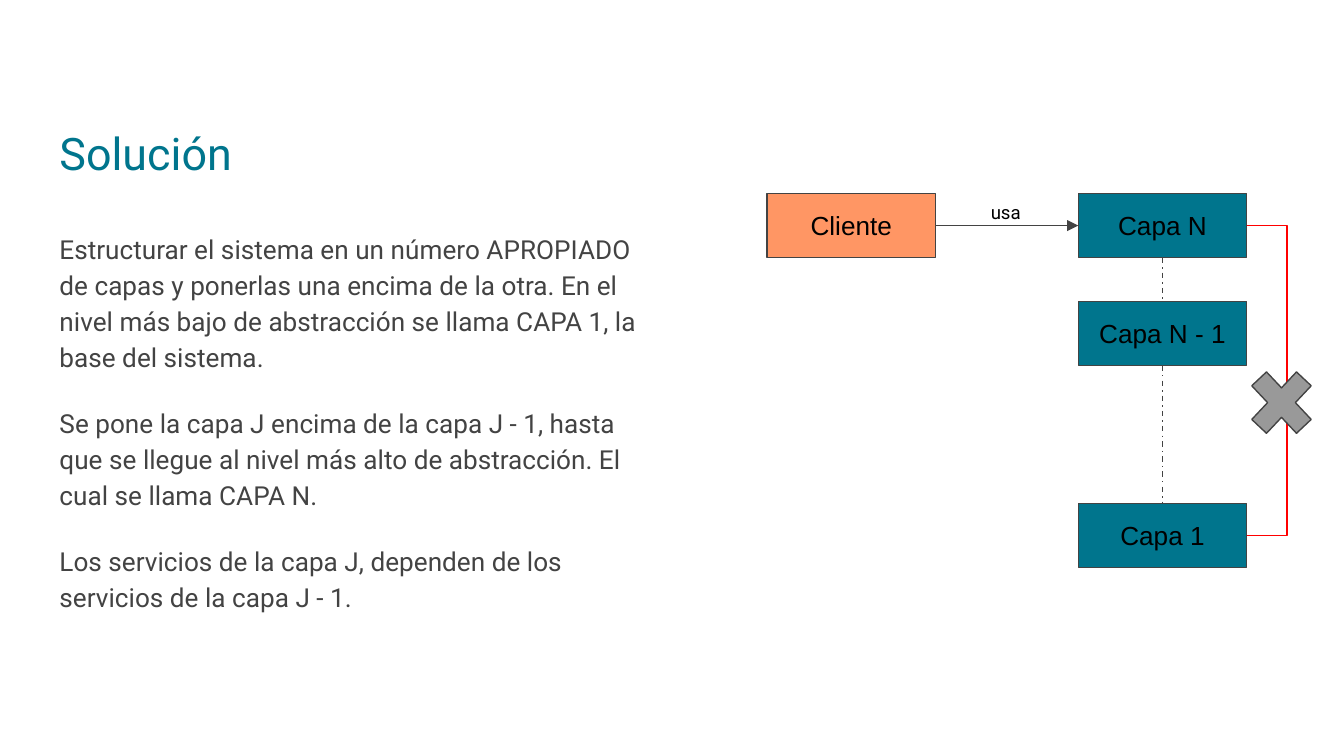
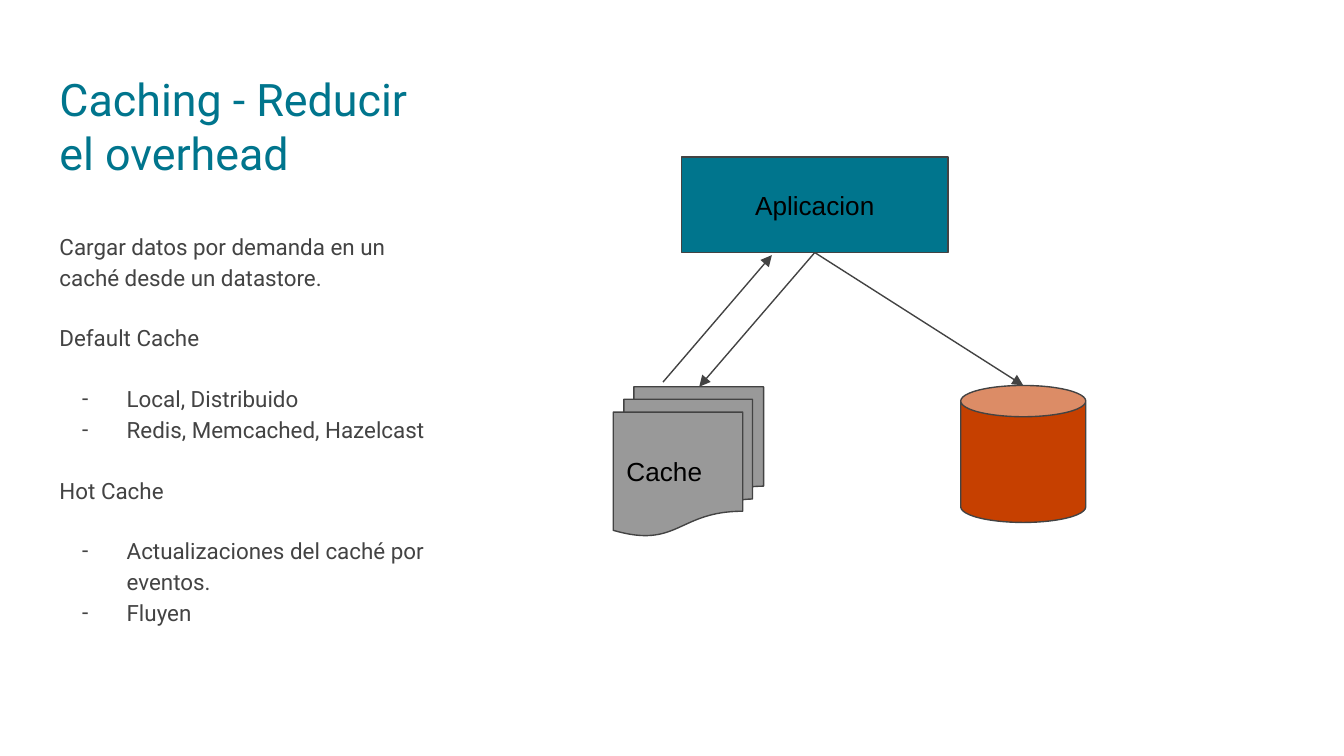
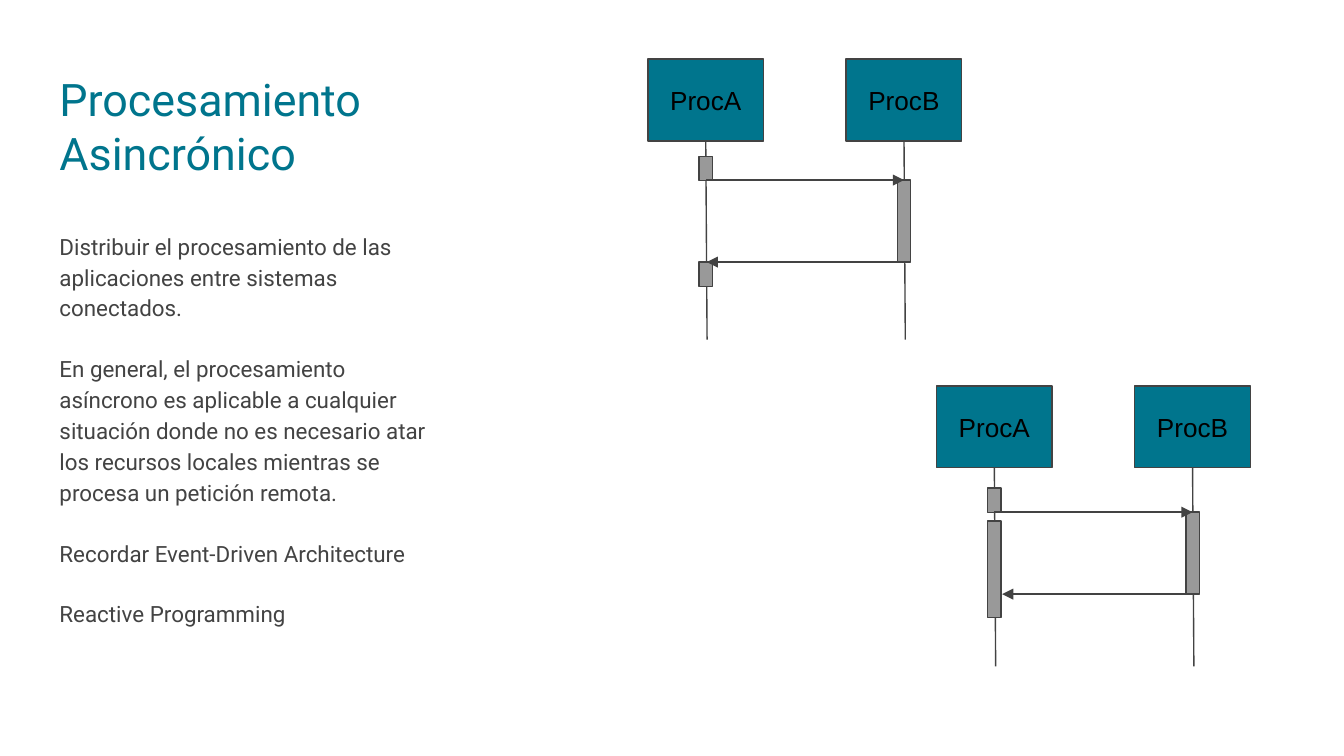
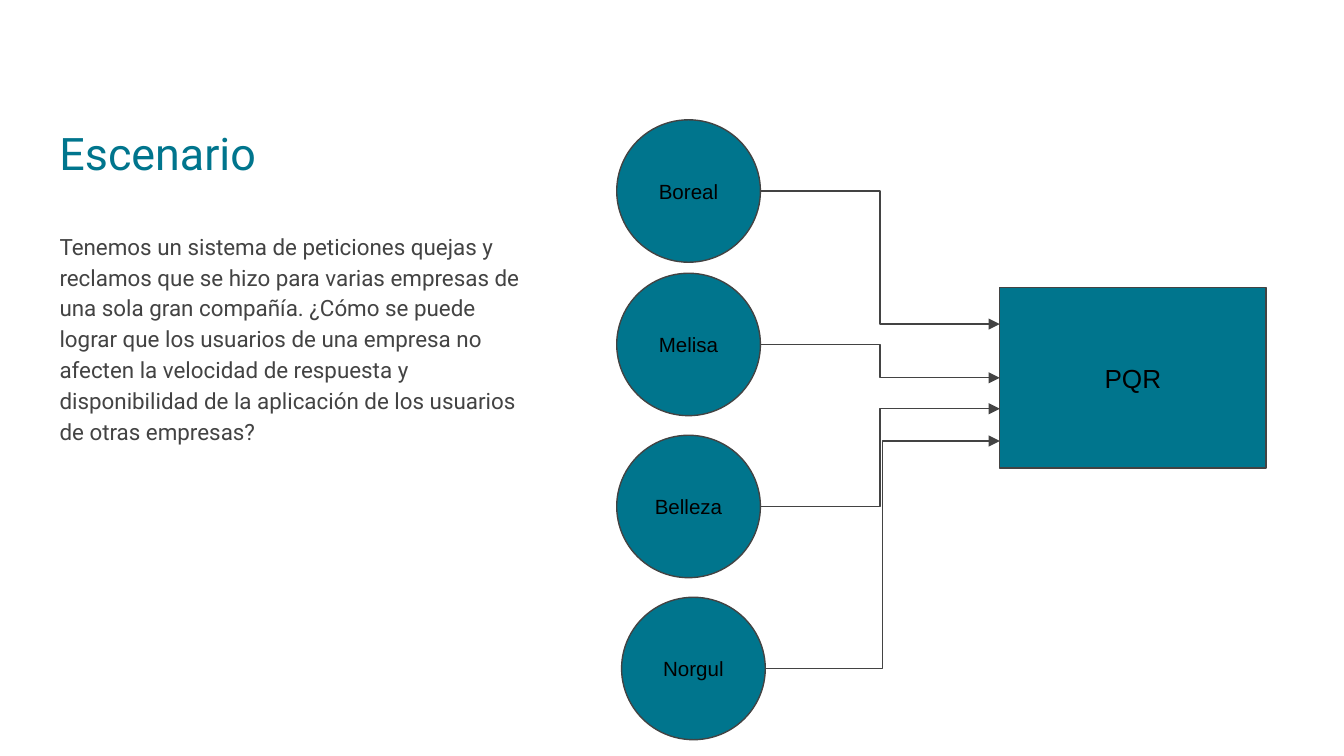
from lxml.etree import SubElement
from pptx import Presentation
from pptx.dml.color import RGBColor
from pptx.enum.dml import MSO_LINE as Dash
from pptx.enum.shapes import MSO_CONNECTOR as Link, MSO_SHAPE as Preset
from pptx.enum.text import MSO_ANCHOR as Anchor, PP_ALIGN as Align
from pptx.oxml.ns import qn
from pptx.util import Pt

COLORS = {
    "teal": "00758D",
    "ink": "434343",
    "text": "000000",
    "orange": "FF9664",
    "rust": "C64000",
    "gray": "999999",
    "red": "FF0000",
    "paper": "FFFFFF",
}
HEADING_FONT, LABEL_FONT = "Roboto", "Arial"
INSET = 7.2
STROKE = 0.75
MARGIN = 24.8


def rgb(name):
    return RGBColor.from_string(COLORS[name])


def style(paragraph, size, face, color):
    paragraph.font.size = Pt(size)
    paragraph.font.name = face
    paragraph.font.color.rgb = rgb(color)


def set_frame(frame, anchor):
    frame.word_wrap = True
    frame.vertical_anchor = anchor
    frame.margin_left = frame.margin_right = Pt(INSET)
    frame.margin_top = frame.margin_bottom = Pt(INSET)


def add_text(slide, box, text, size, color, anchor=Anchor.TOP):
    frame = slide.shapes.add_textbox(*map(Pt, box)).text_frame
    set_frame(frame, anchor)
    frame.text = text
    style(frame.paragraphs[0], size, HEADING_FONT, color)


def add_dash_bullet(paragraph):
    properties = paragraph._p.get_or_add_pPr()
    properties.set("marL", str(Pt(36)))
    properties.set("indent", str(Pt(-23.8)))
    tint = SubElement(properties, qn("a:buClr"))
    SubElement(tint, qn("a:srgbClr"), val=COLORS["ink"])
    SubElement(properties, qn("a:buFont"), typeface=HEADING_FONT)
    SubElement(properties, qn("a:buChar"), char="-")


def add_body(slide, box, entries, size):
    frame = slide.shapes.add_textbox(*map(Pt, box)).text_frame
    set_frame(frame, Anchor.TOP)
    after_item = False
    for number, entry in enumerate(entries):
        is_item = isinstance(entry, tuple)
        paragraph = frame.add_paragraph() if number else frame.paragraphs[0]
        paragraph.text = entry[0] if is_item else entry
        if is_item:
            add_dash_bullet(paragraph)
        paragraph.line_spacing = 1.15
        if number and not (is_item and after_item):
            paragraph.space_before = Pt(16)
        style(paragraph, size, HEADING_FONT, "ink")
        after_item = is_item


def add_node(slide, box, fill, label="", preset=Preset.RECTANGLE, size=14, align=Align.CENTER):
    node = slide.shapes.add_shape(preset, *map(Pt, box))
    node.shadow.inherit = False
    node.fill.solid()
    node.fill.fore_color.rgb = rgb(fill)
    node.line.color.rgb = rgb("ink")
    node.line.width = Pt(STROKE)
    if label:
        set_frame(node.text_frame, Anchor.MIDDLE)
        node.text_frame.text = label
        paragraph = node.text_frame.paragraphs[0]
        paragraph.alignment = align
        style(paragraph, size, LABEL_FONT, "text")
    return node


def add_link(slide, start, end, arrow=False, kind=Link.STRAIGHT, color="ink", dash=None):
    link = slide.shapes.add_connector(kind, *map(Pt, start + end))
    link.line.color.rgb = rgb(color)
    link.line.width = Pt(STROKE)
    if dash:
        link.line.dash_style = dash
    if arrow:
        SubElement(link.line._get_or_add_ln(), qn("a:tailEnd"), type="triangle")
    SubElement(link._element.spPr, qn("a:effectLst"))
    return link


def add_content_slide(deck, title, entries, body_width=221, body_size=12):
    slide = deck.slides.add_slide(deck.slide_layouts[6])
    slide.background.fill.solid()
    slide.background.fill.fore_color.rgb = rgb("paper")
    add_text(slide, (MARGIN, 43.6, 221, 59.8), title, 24, "teal", Anchor.BOTTOM)
    add_body(slide, (MARGIN, 115.4, body_width, 244), entries, body_size)
    return slide


def draw_layers(slide, left, top):
    width, height = 90.2, 34.3
    stack = left + 166.7
    middle, right = stack + width / 2, stack + width
    levels = {"Capa N": top, "Capa N - 1": top + 57.8, "Capa 1": top + 166}
    add_node(slide, (left, top, width, height), "orange", "Cliente")
    for label, level in levels.items():
        add_node(slide, (stack, level, width, height), "teal", label)
    axis = top + height / 2
    add_link(slide, (left + width, axis), (stack, axis), arrow=True)
    add_text(slide, (left + 112.7, top - 2.2, 31.7, 19.4), "usa", 10, "text")
    tops = list(levels.values())
    for upper, lower in zip(tops, tops[1:]):
        add_link(slide, (middle, upper + height), (middle, lower), dash=Dash.DASH_DOT)
    span, reach = 0.1, 19
    bypass = add_link(slide, (right, axis), (right + span, tops[-1] + height / 2),
                      kind=Link.ELBOW, color="red")
    guides = bypass._element.spPr.find(qn("a:prstGeom")).get_or_add_avLst()
    SubElement(guides, qn("a:gd"), name="adj1", fmla=f"val {round(reach / span * 100000)}")
    cross = add_node(slide, (right - 4.4, top + 87.5, 46.1, 49), "gray", preset=Preset.MATH_MULTIPLY)
    cross.adjustments[0] = 0.235


def draw_cache(slide, left, top):
    add_node(slide, (left + 36.7, top, 142.6, 51.1), "teal", "Aplicacion")
    store = add_node(slide, (left + 186.2, top + 122.3, 67, 73.4), "rust", preset=Preset.CAN)
    store.adjustments[0] = 0.25
    add_node(slide, (left, top + 123, 80.6, 79.9), "gray", "Cache",
             Preset.FLOWCHART_MULTIDOCUMENT, align=Align.LEFT)
    source = (left + 108, top + 51.1)
    for start, end in (
        (source, (left + 46.1, top + 123)),
        (source, (left + 219.7, top + 122.3)),
        ((left + 26.7, top + 120.5), (left + 85, top + 52.5)),
    ):
        add_link(slide, start, end, arrow=True)


def draw_sequence(slide, left, top, call, caller_bars, reply_gap):
    width, height, pitch, bar, work = 62, 43.9, 106.2, 7.2, 43.9
    caller = left + width / 2
    callee = caller + pitch
    for label, axis in (("ProcA", caller), ("ProcB", callee)):
        add_node(slide, (axis - width / 2, top, width, height), "teal", label)
        add_link(slide, (axis, top + height), (axis + 0.7, top + 150.3))
    for axis, start, length in [(caller, *span) for span in caller_bars] + [(callee, call, work)]:
        add_node(slide, (axis - bar / 2, top + start, bar, length), "gray")
    reply = top + call + work
    add_link(slide, (caller, top + call), (callee, top + call), arrow=True)
    add_link(slide, (callee, reply), (caller + reply_gap, reply), arrow=True)


def draw_companies(slide, left, top):
    width, height = 77, 76.3
    target = left + 205.2
    companies = (
        ("Boreal", 0, 0, 109.4),
        ("Melisa", 0, 82.2, 138.2),
        ("Belleza", 0, 169, 154.8),
        ("Norgul", 2.6, 255.8, 172.1),
    )
    add_node(slide, (target, top + 90, 142.6, 96.5), "teal", "PQR")
    for name, shift, drop, entry in companies:
        add_node(slide, (left + shift, top + drop, width, height), "teal", name, Preset.OVAL, 11)
        add_link(slide, (left + shift + width, top + drop + height / 2), (target, top + entry),
                 arrow=True, kind=Link.ELBOW)


def main():
    deck = Presentation()
    deck.slide_width, deck.slide_height = Pt(720), Pt(405)

    solution = add_content_slide(deck, "Solución", [
        "Estructurar el sistema en un número APROPIADO de capas y ponerlas una encima de la otra. "
        "En el nivel más bajo de abstracción se llama CAPA 1, la base del sistema.",
        "Se pone la capa J encima de la capa J - 1, hasta que se llegue al nivel más alto de "
        "abstracción. El cual se llama CAPA N.",
        "Los servicios de la capa J, dependen de los servicios de la capa J - 1.",
    ], body_width=335.5, body_size=14)
    draw_layers(solution, 411, 103.7)

    caching = add_content_slide(deck, "Caching - Reducir el overhead", [
        "Cargar datos por demanda en un caché desde un datastore.",
        "Default Cache",
        ("Local, Distribuido",),
        ("Redis, Memcached, Hazelcast",),
        "Hot Cache",
        ("Actualizaciones del caché por eventos.",),
        ("Fluyen",),
    ])
    draw_cache(caching, 328.5, 84.2)

    processing = add_content_slide(deck, "Procesamiento Asincrónico", [
        "Distribuir el procesamiento de las aplicaciones entre sistemas conectados.",
        "En general, el procesamiento asíncrono es aplicable a cualquier situación donde no es "
        "necesario atar los recursos locales mientras se procesa un petición remota.",
        "Recordar Event-Driven Architecture",
        "Reactive Programming",
    ])
    draw_sequence(processing, 347.1, 31.7, 64.8, [(52, 13), (108.7, 13)], 0.5)
    draw_sequence(processing, 501.7, 206.7, 67.7, [(54.8, 13), (72.5, 51.8)], 4.2)

    scenario = add_content_slide(deck, "Escenario", [
        "Tenemos un sistema de peticiones quejas y reclamos que se hizo para varias empresas de "
        "una sola gran compañía. ¿Cómo se puede lograr que los usuarios de una empresa no afecten "
        "la velocidad de respuesta y disponibilidad de la aplicación de los usuarios de otras "
        "empresas?",
    ], body_width=262)
    draw_companies(scenario, 330.4, 64.2)

    deck.save("out.pptx")


if __name__ == "__main__":
    main()
